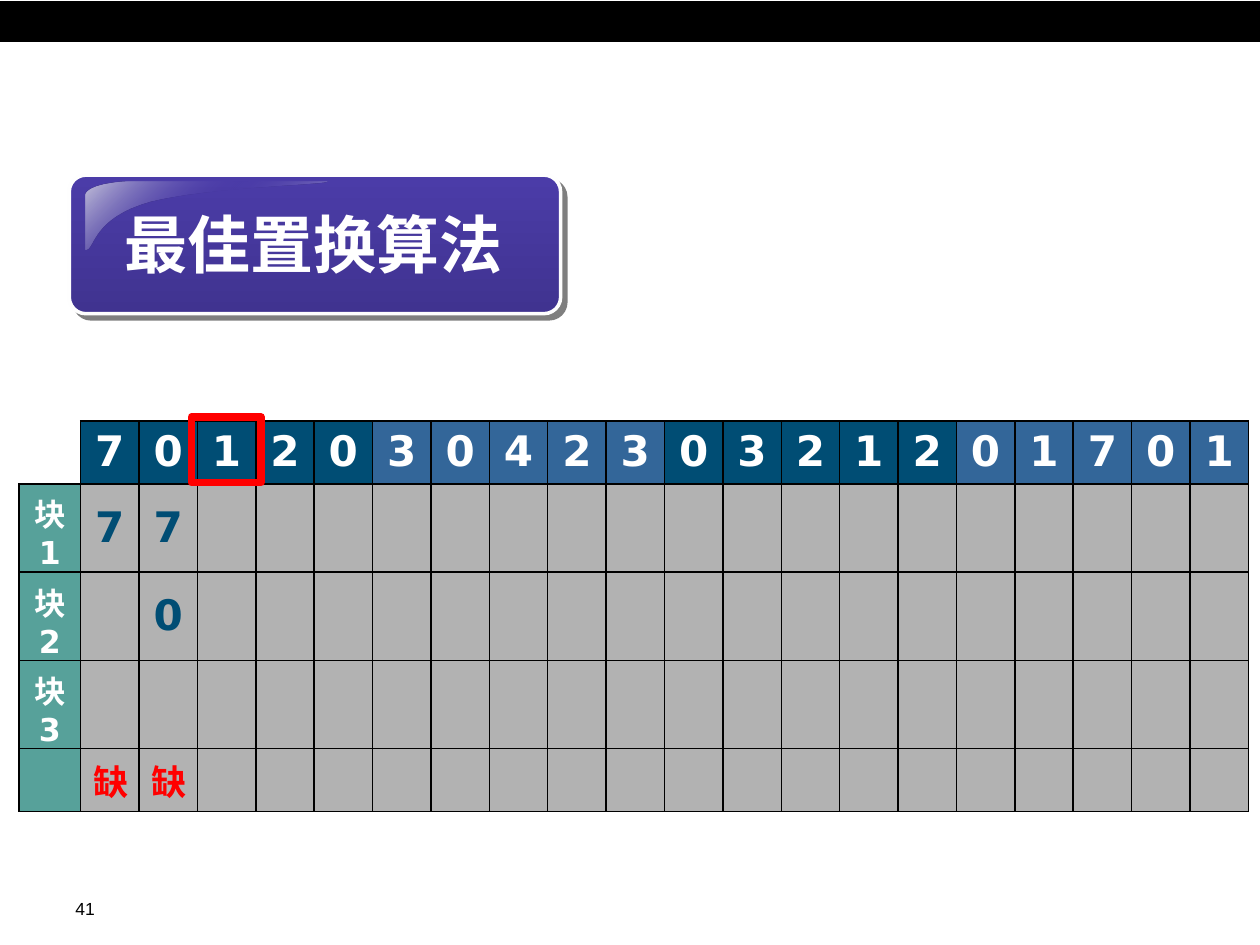
from dataclasses import dataclass
from lxml.etree import SubElement
from pptx import Presentation
from pptx.dml.color import RGBColor
from pptx.enum.shapes import MSO_SHAPE
from pptx.enum.text import MSO_ANCHOR, PP_ALIGN
from pptx.oxml import parse_xml
from pptx.oxml.ns import nsdecls, qn
from pptx.util import Inches, Length, Pt

BLACK = RGBColor(0x00, 0x00, 0x00)
WHITE = RGBColor(0xFF, 0xFF, 0xFF)
RIM = RGBColor(0xFE, 0xFE, 0xFE)
RED = RGBColor(0xFF, 0x00, 0x00)
NAVY = RGBColor(0x00, 0x4D, 0x74)
BLUE = RGBColor(0x33, 0x66, 0x99)
TEAL = RGBColor(0x57, 0xA1, 0x9A)
GREY = RGBColor(0xB2, 0xB2, 0xB2)
VIOLET = RGBColor(0x4B, 0x3C, 0xA8)
DEEP = RGBColor(0x40, 0x33, 0x90)
GLOW = RGBColor(0xC4, 0xC2, 0xDA)


def unit(n: float) -> Length:
    """Length of n cells of the slide's grid of 100 columns and 75 rows."""
    return Inches(n / 10)


@dataclass
class Box:
    col: float
    row: float
    wide: float
    high: float

    def place(self) -> tuple:
        return tuple(unit(n) for n in (self.col, self.row, self.wide, self.high))


@dataclass
class Style:
    size: int
    color: RGBColor
    font: str = "DejaVu Sans"
    bold: bool = True


@dataclass
class Stop:
    pos: int
    color: RGBColor
    alpha: int = 100


def write(frame, text: str, style: Style, align=PP_ALIGN.CENTER) -> None:
    para = frame.paragraphs[0]
    para.alignment = align
    run = para.add_run()
    run.text = text
    font = run.font
    font.size, font.bold, font.name = Pt(style.size), style.bold, style.font
    font.color.rgb = style.color


def label(shapes, box: Box, text: str, style: Style, align=PP_ALIGN.CENTER) -> None:
    frame = shapes.add_textbox(*box.place()).text_frame
    frame.word_wrap = True
    write(frame, text, style, align)


def block(shapes, kind, box: Box, line: RGBColor, width: float):
    shape = shapes.add_shape(kind, *box.place())
    shape.shadow.inherit = False
    shape.line.color.rgb, shape.line.width = line, Pt(width)
    return shape


def blend(shape, angle: int, stops: list[Stop]) -> None:
    """Fill a shape with a linear gradient, angle clockwise."""
    marks = "".join(
        f'<a:gs pos="{s.pos * 1000}"><a:srgbClr val="{s.color}">'
        f'<a:alpha val="{s.alpha * 1000}"/></a:srgbClr></a:gs>' for s in stops)
    grad = parse_xml(
        f'<a:gradFill {nsdecls("a")} rotWithShape="1"><a:gsLst>{marks}</a:gsLst>'
        f'<a:lin ang="{angle * 60000}" scaled="0"/></a:gradFill>')
    shape.fill.background()
    props = shape.fill._xPr
    props.replace(props.find(qn("a:noFill")), grad)


def curve(*ends: tuple, steps: int = 16) -> list[tuple]:
    """Points along a cubic curve, start left out."""
    points = []
    for i in range(1, steps + 1):
        t = i / steps
        mix = ((1 - t) ** 3, 3 * t * (1 - t) ** 2, 3 * t * t * (1 - t), t ** 3)
        points.append(tuple(sum(m * e[k] for m, e in zip(mix, ends)) for k in (0, 1)))
    return points


def tint(cell, color: RGBColor, alpha: int = 100) -> None:
    cell.fill.solid()
    cell.fill.fore_color.rgb = color
    if alpha < 100:
        mark = cell._tc.tcPr.find(".//" + qn("a:srgbClr"))
        SubElement(mark, qn("a:alpha")).set("val", str(alpha * 1000))


def edge(cell, sides: str) -> None:
    props = cell._tc.get_or_add_tcPr()
    for side in sides:
        props.append(parse_xml(
            f'<a:ln{side} {nsdecls("a")} w="12700"><a:solidFill>'
            f'<a:srgbClr val="{BLACK}"/></a:solidFill></a:ln{side}>'))


# Reference string and page frames
PAGES = "70120304230321201701"
HEAD, NAME = Style(24, WHITE), Style(18, WHITE)
PAGE, MISS = Style(24, NAVY), Style(20, RED)
ROWS = [5, 7, 7, 7, 5]
TEXTS = {(0, c): (p, HEAD) for c, p in enumerate(PAGES, 1)}
TEXTS |= {(r, 0): (f"块{r}", NAME) for r in (1, 2, 3)}
TEXTS |= {(1, 1): ("7", PAGE), (1, 2): ("7", PAGE), (2, 2): ("0", PAGE),
          (4, 1): ("缺", MISS), (4, 2): ("缺", MISS)}
DENSE = {*range(8, 13), *range(16, 19)}


def paint(cell, row: int, col: int) -> None:
    odd = row % 2 == 1
    if row == 0 and col == 0:
        cell.fill.background()
    elif row == 0:
        tint(cell, BLUE if (col - 1) // 5 % 2 else NAVY)
    elif col == 0:
        tint(cell, TEAL, 100 if odd else 70)
    else:
        tint(cell, GREY, (80 if odd else 48) + (2 if col in DENSE else 0))


def grid(shapes, box: Box, first: float) -> None:
    count = len(PAGES) + 1
    table = shapes.add_table(len(ROWS), count, *box.place()).table
    table.first_row = table.horz_banding = False
    for c, column in enumerate(table.columns):
        column.width = unit((box.wide - first) / len(PAGES) if c else first)
    for r, high in enumerate(ROWS):
        table.rows[r].height = unit(high)
        for c in range(count):
            cell = table.cell(r, c)
            cell.vertical_anchor = MSO_ANCHOR.MIDDLE
            edge(cell, "LRTB" if r or c else "RB")
            paint(cell, r, c)
            if (r, c) in TEXTS:
                write(cell.text_frame, *TEXTS[r, c])


def badge(shapes) -> None:
    group = shapes.add_group_shape().shapes
    # Plate with a soft offset shadow
    plate = block(group, MSO_SHAPE.ROUNDED_RECTANGLE, Box(5.5, 13.9, 39, 11), RIM, 2)
    plate.adjustments[0] = 0.12
    blend(plate, 90, [Stop(0, VIOLET), Stop(100, DEEP)])
    effects = plate._element.spPr.find(qn("a:effectLst"))
    effects.append(parse_xml(
        f'<a:outerShdw {nsdecls("a")} blurRad="0" dist="{Pt(4.2)}" dir="2700000" '
        f'algn="ctr" rotWithShape="0"><a:srgbClr val="{BLACK}">'
        '<a:alpha val="50000"/></a:srgbClr></a:outerShdw>'))
    # Gloss in the upper left corner
    start = (10.6, 14.4)
    points = curve(start, (8.5, 14.4), (6.8, 14.9), (6.8, 15.5))
    points += curve((6.8, 19.8), (7.6, 19.9), (7.2, 17.3), (12, 16))
    points.insert(16, (6.8, 19.8))
    points += curve((12, 16), (16.9, 14.8), (26.2, 14.7), (26, 14.4))
    pen = group.build_freeform(*(unit(n) for n in start))
    pen.add_line_segments([(unit(x), unit(y)) for x, y in points], close=True)
    gloss = pen.convert_to_shape()
    gloss.shadow.inherit = False
    gloss.line.fill.background()
    blend(gloss, 45, [Stop(0, GLOW), Stop(50, VIOLET, 0), Stop(100, GLOW)])


def main() -> None:
    deck = Presentation()
    deck.slide_width, deck.slide_height = unit(100), unit(75)
    shapes = deck.slides.add_slide(deck.slide_layouts[6]).shapes
    # Top bar and page number
    bar = block(shapes, MSO_SHAPE.RECTANGLE, Box(0, 0.1, 100, 3.2), BLACK, 0.75)
    bar.fill.solid()
    bar.fill.fore_color.rgb = BLACK
    label(shapes, Box(5, 70.8, 6.7, 2.5), "41", Style(10, BLACK, "Arial", False),
          PP_ALIGN.LEFT)
    # Page table, title and marker of the current page
    grid(shapes, Box(1.5, 33.4, 97.6, 31), 4.9)
    badge(shapes)
    label(shapes, Box(6.4, 15.8, 37, 7), "最佳置换算法", Style(36, WHITE, "Arial"))
    marker = block(shapes, MSO_SHAPE.RECTANGLE, Box(15.2, 33.1, 5.5, 5.2), RED, 4.5)
    marker.fill.background()
    deck.save("out.pptx")


if __name__ == "__main__":
    main()
